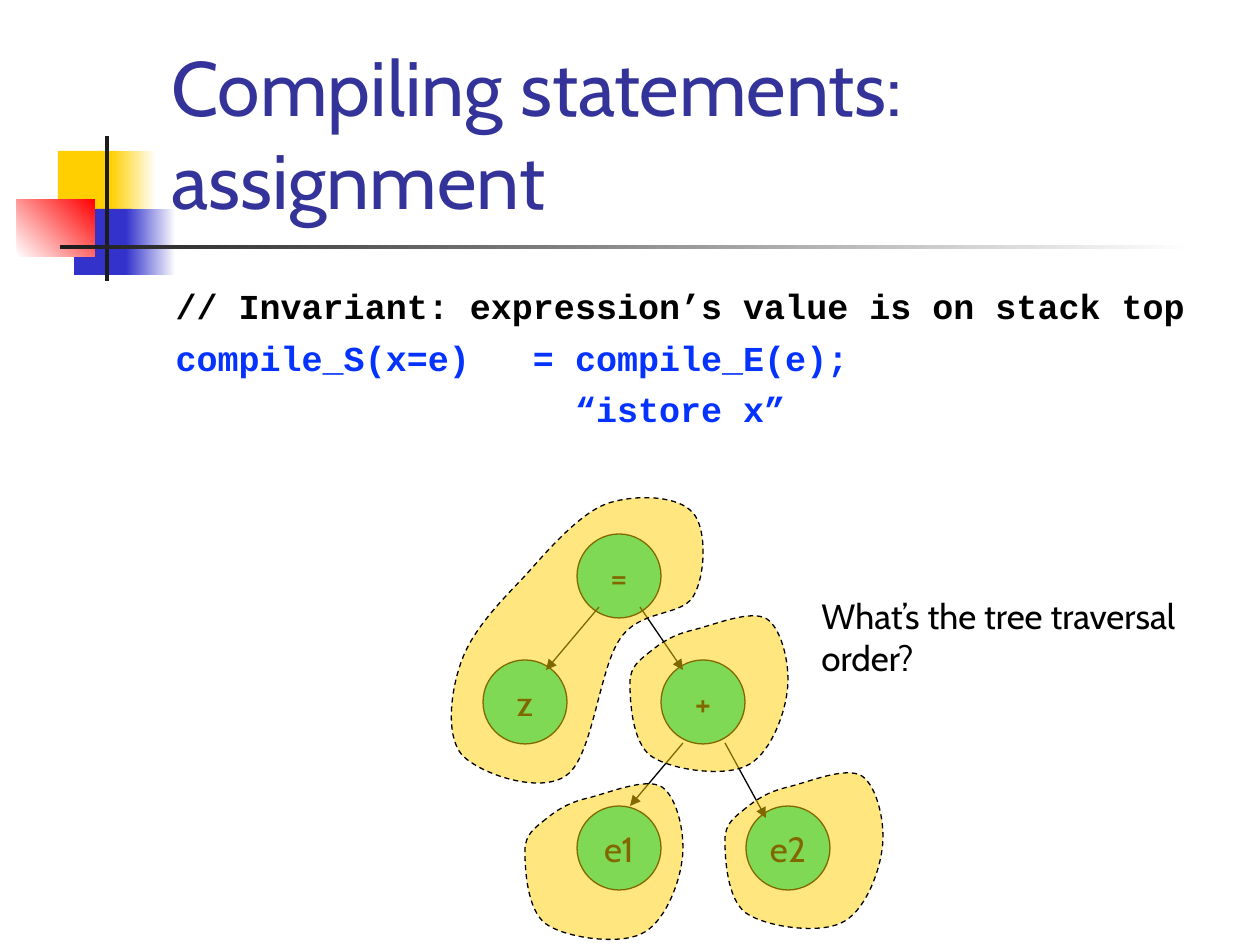
"""Build the slide on compiling assignment statements."""
from lxml import etree
from pptx import Presentation
from pptx.dml.color import RGBColor
from pptx.enum.dml import MSO_LINE
from pptx.enum.shapes import MSO_CONNECTOR, MSO_SHAPE
from pptx.enum.text import MSO_ANCHOR, MSO_AUTO_SIZE, PP_ALIGN
from pptx.oxml.ns import qn
from pptx.util import Pt

SCALE = 914400 / 126
RECTANGLE, OVAL = MSO_SHAPE.RECTANGLE, MSO_SHAPE.OVAL
STRAIGHT, DASH = MSO_CONNECTOR.STRAIGHT, MSO_LINE.DASH
TOP, MIDDLE, BOTTOM = MSO_ANCHOR.TOP, MSO_ANCHOR.MIDDLE, MSO_ANCHOR.BOTTOM
LEFT, CENTER = PP_ALIGN.LEFT, PP_ALIGN.CENTER
NO_AUTOFIT = MSO_AUTO_SIZE.NONE

BLACK = RGBColor(0x00, 0x00, 0x00)
WHITE = RGBColor(0xFF, 0xFF, 0xFF)
CHARCOAL = RGBColor(0x1C, 0x1C, 0x1C)
YELLOW = RGBColor(0xFF, 0xCF, 0x01)
RED = RGBColor(0xFF, 0x00, 0x00)
BLUE = RGBColor(0x33, 0x33, 0xCC)
TITLE_BLUE = RGBColor(0x33, 0x33, 0x99)
CODE_BLUE = RGBColor(0x04, 0x32, 0xFF)
GREEN = RGBColor(0x00, 0xE4, 0xA8)
SANS, MONO = "Cabin", "Courier New"

SLIDE_SIZE = (1260, 945)
TITLE = "Compiling statements: assignment"
TITLE_BOX = (159, 29, 1074, 202)
CODE = [
    ("// Invariant: expression’s value is on stack top", BLACK),
    ("compile_S(x=e)   = compile_E(e);", CODE_BLUE),
    ("                   “istore x”", CODE_BLUE),
]
CODE_BOX = (163, 278, 1071, 567)
CODE_INDENT = 48
QUESTION = "What’s the tree traversal order?"
QUESTION_BOX = (809, 588, 420, 97)

DECORATIONS = [
    ((58, 151, 60, 66), (YELLOW,), 0),
    ((111, 151, 45, 66), (YELLOW, WHITE), 0),
    ((74, 209, 58, 66), (BLUE,), 0),
    ((126, 209, 50, 66), (BLUE, WHITE), 0),
    ((17, 199, 78, 58), (WHITE, RED), 45),
    ((105, 136, 4, 145), (CHARCOAL,), 0),
    ((60, 245, 1134, 4), (CHARCOAL, WHITE), 0),
]
NODE_SIZE = 84
NODES = [("=", 577, 534), ("z", 483, 660), ("+", 661, 660), ("e1", 577, 806), ("e2", 746, 806)]
ARROWS = [
    (599, 607, 546, 670),
    (683, 743, 630, 806),
    (640, 607, 683, 670),
    (725, 743, 766, 818),
]
SMALL_REGION = [
    (21, 42), (10, 51), (0, 57), (0, 74), (0, 92), (2, 133), (21, 147),
    (41, 161), (93, 168), (116, 157), (139, 147), (154, 108), (157, 84),
    (161, 60), (153, 21), (137, 10), (121, 0), (84, 16), (63, 21),
    (42, 26), (31, 34), (21, 42),
]
LARGE_REGION = [
    (525, 576), (500, 602), (473, 630), (462, 660), (451, 689), (445, 735), (462, 755),
    (480, 774), (541, 795), (567, 775), (593, 756), (599, 669), (620, 639),
    (640, 609), (680, 617), (693, 597), (706, 576), (707, 528), (693, 513),
    (679, 496), (638, 494), (609, 503), (581, 512), (549, 549), (525, 576),
]
REGIONS = [
    (SMALL_REGION, 525, 777),
    (SMALL_REGION, 725, 766),
    (SMALL_REGION, 630, 609),
    (LARGE_REGION, 0, 0),
]


def emu(*lengths):
    return [round(length * SCALE) for length in lengths]


def format_text(paragraph, text, font=SANS, size=20, color=BLACK, bold=False, align=LEFT):
    run = paragraph.add_run()
    run.text = text
    run.font.name, run.font.size, run.font.bold = font, Pt(size), bold
    run.font.color.rgb = color
    paragraph.alignment = align


def set_frame(frame, anchor=TOP, wrap=True):
    frame.word_wrap, frame.auto_size, frame.vertical_anchor = wrap, NO_AUTOFIT, anchor


def place(shape, box):
    shape.left, shape.top, shape.width, shape.height = emu(*box)


def add_decoration(slide, box, colors, angle):
    shape = slide.shapes.add_shape(RECTANGLE, *emu(*box))
    shape.shadow.inherit = False
    shape.line.fill.background()
    if len(colors) == 1:
        shape.fill.solid()
        shape.fill.fore_color.rgb = colors[0]
        return
    shape.fill.gradient()
    shape.fill.gradient_angle = angle
    for position, (stop, color) in enumerate(zip(shape.fill.gradient_stops, colors)):
        stop.position = position
        stop.color.rgb = color


def style_outlined(shape, color):
    shape.shadow.inherit = False
    shape.fill.solid()
    shape.fill.fore_color.rgb = color
    shape.line.color.rgb = BLACK
    shape.line.width = Pt(0.75)


def add_node(slide, label, left, top):
    node = slide.shapes.add_shape(OVAL, *emu(left, top, NODE_SIZE, NODE_SIZE))
    style_outlined(node, GREEN)
    set_frame(node.text_frame, MIDDLE, wrap=False)
    format_text(node.text_frame.paragraphs[0], label, align=CENTER)


def add_arrow(slide, ends):
    arrow = slide.shapes.add_connector(STRAIGHT, *emu(*ends))
    arrow.line.color.rgb = BLACK
    arrow.line.width = Pt(0.75)
    properties = arrow._element.spPr
    etree.SubElement(properties.find(qn("a:ln")), qn("a:tailEnd"), type="triangle")
    etree.SubElement(properties, qn("a:effectLst"))


def add_region(slide, points, left, top):
    start, *others = [(left + x, top + y) for x, y in points]
    builder = slide.shapes.build_freeform(*start, scale=SCALE)
    builder.add_line_segments(others, close=True)
    region = builder.convert_to_shape()
    segments = list(region._element.iter(qn("a:lnTo")))
    for curve, second, third in zip(segments[::3], segments[1::3], segments[2::3]):
        curve.tag = qn("a:cubicBezTo")
        for segment in (second, third):
            curve.append(segment[0])
            segment.getparent().remove(segment)
    style_outlined(region, YELLOW)
    region.line.dash_style = DASH
    color = region._element.spPr.find(qn("a:solidFill"))[0]
    etree.SubElement(color, qn("a:alpha"), val="50000")


def fill_title(title):
    place(title, TITLE_BOX)
    set_frame(title.text_frame, BOTTOM)
    format_text(title.text_frame.paragraphs[0], TITLE, size=44, color=TITLE_BLUE)


def fill_code(body):
    place(body, CODE_BOX)
    frame = body.text_frame
    set_frame(frame)
    indent = emu(CODE_INDENT)[0]
    for index, (text, color) in enumerate(CODE):
        paragraph = frame.add_paragraph() if index else frame.paragraphs[0]
        properties = paragraph._p.get_or_add_pPr()
        properties.set("marL", str(indent))
        properties.set("indent", str(-indent))
        etree.SubElement(properties, qn("a:buNone"))
        paragraph.space_before = Pt(5.6 if index else 0)
        format_text(paragraph, text, font=MONO, color=color, bold=True)


def main():
    presentation = Presentation()
    presentation.slide_width, presentation.slide_height = emu(*SLIDE_SIZE)
    slide = presentation.slides.add_slide(presentation.slide_layouts[1])
    title, body = slide.placeholders
    for decoration in DECORATIONS:
        add_decoration(slide, *decoration)
    for placeholder in (title, body):
        placeholder._element.getparent().append(placeholder._element)
    fill_title(title)
    fill_code(body)
    for node in NODES:
        add_node(slide, *node)
    for ends in ARROWS:
        add_arrow(slide, ends)
    for region in REGIONS:
        add_region(slide, *region)
    question = slide.shapes.add_textbox(*emu(*QUESTION_BOX))
    set_frame(question.text_frame)
    format_text(question.text_frame.paragraphs[0], QUESTION)
    presentation.save("out.pptx")


if __name__ == "__main__":
    main()
